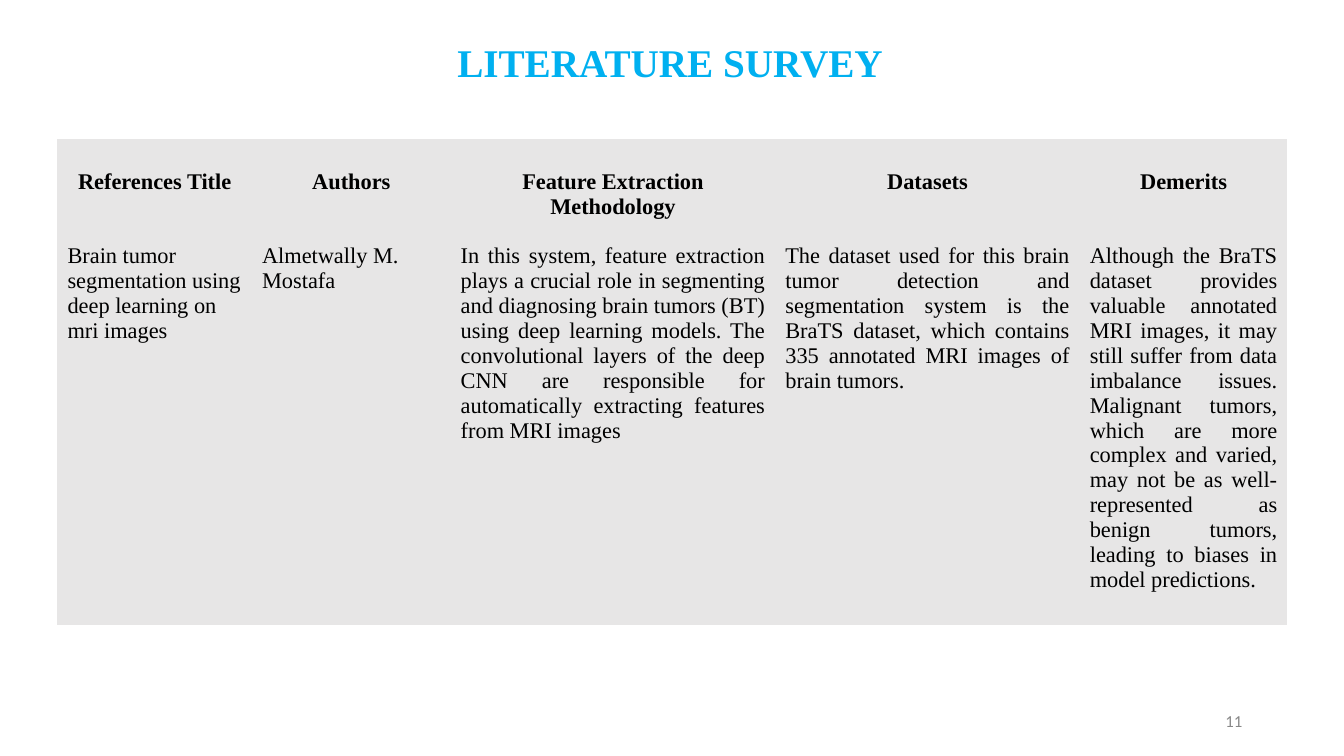
from pptx import Presentation
from pptx.dml.color import RGBColor
from pptx.enum.text import MSO_ANCHOR, PP_ALIGN
from pptx.oxml.ns import qn
from pptx.util import Inches, Pt

COLORS = {"title": "00B0F0", "text": "000000", "cell": "E7E6E6", "number": "888888"}
SERIF = "Times New Roman"
NO_GRID_STYLE = "{2D5ABB26-0587-4C30-8999-92F81FD0307C}"

# Heading, column width, body alignment, body text
SURVEY = [
    ("References Title", 1.93, PP_ALIGN.LEFT,
     "Brain tumor segmentation using deep learning on mri images"),
    ("Authors", 1.97, PP_ALIGN.LEFT, "Almetwally M. Mostafa"),
    ("Feature Extraction Methodology", 3.22, PP_ALIGN.JUSTIFY,
     "In this system, feature extraction plays a crucial role in segmenting and "
     "diagnosing brain tumors (BT) using deep learning models. The convolutional "
     "layers of the deep CNN are responsible for automatically extracting features "
     "from MRI images"),
    ("Datasets", 3.02, PP_ALIGN.JUSTIFY,
     "The dataset used for this brain tumor detection and segmentation system is the "
     "BraTS dataset, which contains 335 annotated MRI images of brain tumors."),
    ("Demerits", 2.06, PP_ALIGN.JUSTIFY,
     "Although the BraTS dataset provides valuable annotated MRI images, it may still "
     "suffer from data imbalance issues. Malignant tumors, which are more complex and "
     "varied, may not be as well-represented as benign tumors, leading to biases in "
     "model predictions."),
]
ROW_HEIGHTS = (0.99, 3.56)


def write(frame, text, size=16, font=SERIF, color="text", bold=False,
          align=PP_ALIGN.LEFT):
    frame.word_wrap = True
    paragraph = frame.paragraphs[0]
    paragraph.alignment = align
    run = paragraph.add_run()
    run.text = text
    run.font.size = Pt(size)
    run.font.name = font
    run.font.bold = bold
    run.font.color.rgb = RGBColor.from_string(COLORS[color])


def add_label(slide, box, text, anchor=MSO_ANCHOR.TOP, **text_format):
    frame = slide.shapes.add_textbox(*map(Inches, box)).text_frame
    frame.vertical_anchor = anchor
    write(frame, text, **text_format)


def fill_cell(cell, text, top_margin=0.05, **text_format):
    cell.fill.solid()
    cell.fill.fore_color.rgb = RGBColor.from_string(COLORS["cell"])
    cell.margin_top = Inches(top_margin)
    write(cell.text_frame, text, **text_format)


def add_survey_table(slide, left, top):
    width = sum(column[1] for column in SURVEY)
    survey = slide.shapes.add_table(
        len(ROW_HEIGHTS), len(SURVEY), Inches(left), Inches(top),
        Inches(width), Inches(sum(ROW_HEIGHTS))).table
    survey.first_row = survey.horz_banding = False
    survey._tbl.tblPr.find(qn("a:tableStyleId")).text = NO_GRID_STYLE
    for row, height in zip(survey.rows, ROW_HEIGHTS):
        row.height = Inches(height)
    for index, (heading, column_width, align, body) in enumerate(SURVEY):
        survey.columns[index].width = Inches(column_width)
        # The heading sits one line below the top of its cell
        fill_cell(survey.cell(0, index), heading, top_margin=0.3, bold=True,
                  align=PP_ALIGN.CENTER)
        fill_cell(survey.cell(1, index), body, align=align)


def main():
    prs = Presentation()
    prs.slide_width, prs.slide_height = Inches(13.33), Inches(7.5)
    slide = prs.slides.add_slide(prs.slide_layouts[6])

    # Slide number
    add_label(slide, (9.42, 6.95, 3, 0.4), "11", anchor=MSO_ANCHOR.MIDDLE, size=12,
              font="Calibri", color="number", align=PP_ALIGN.RIGHT)
    # Survey table
    add_survey_table(slide, 0.57, 1.38)
    # Title
    add_label(slide, (2.35, 0.33, 8.59, 0.57), "LITERATURE SURVEY", size=28,
              color="title", bold=True, align=PP_ALIGN.CENTER)

    prs.save("out.pptx")


if __name__ == "__main__":
    main()
